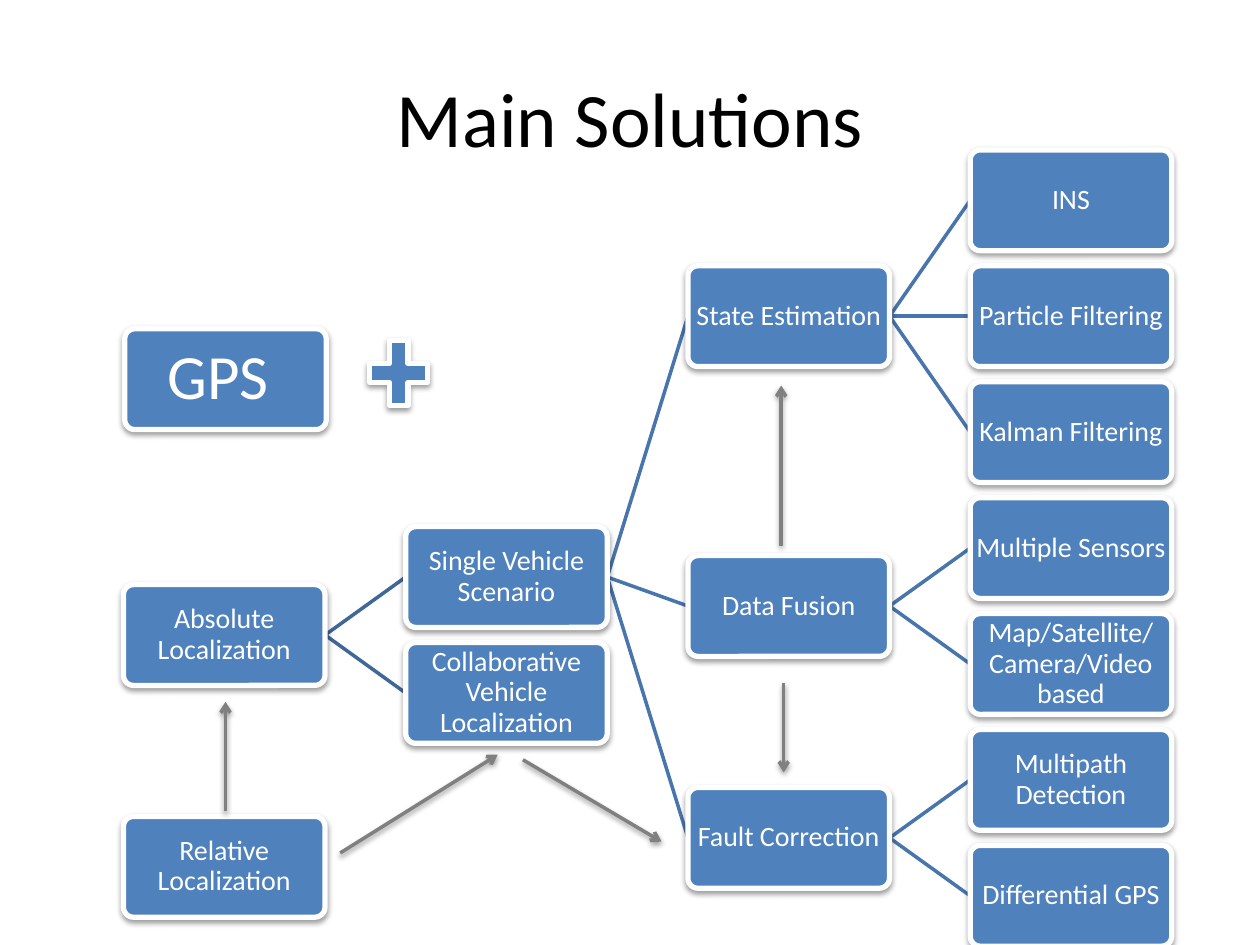
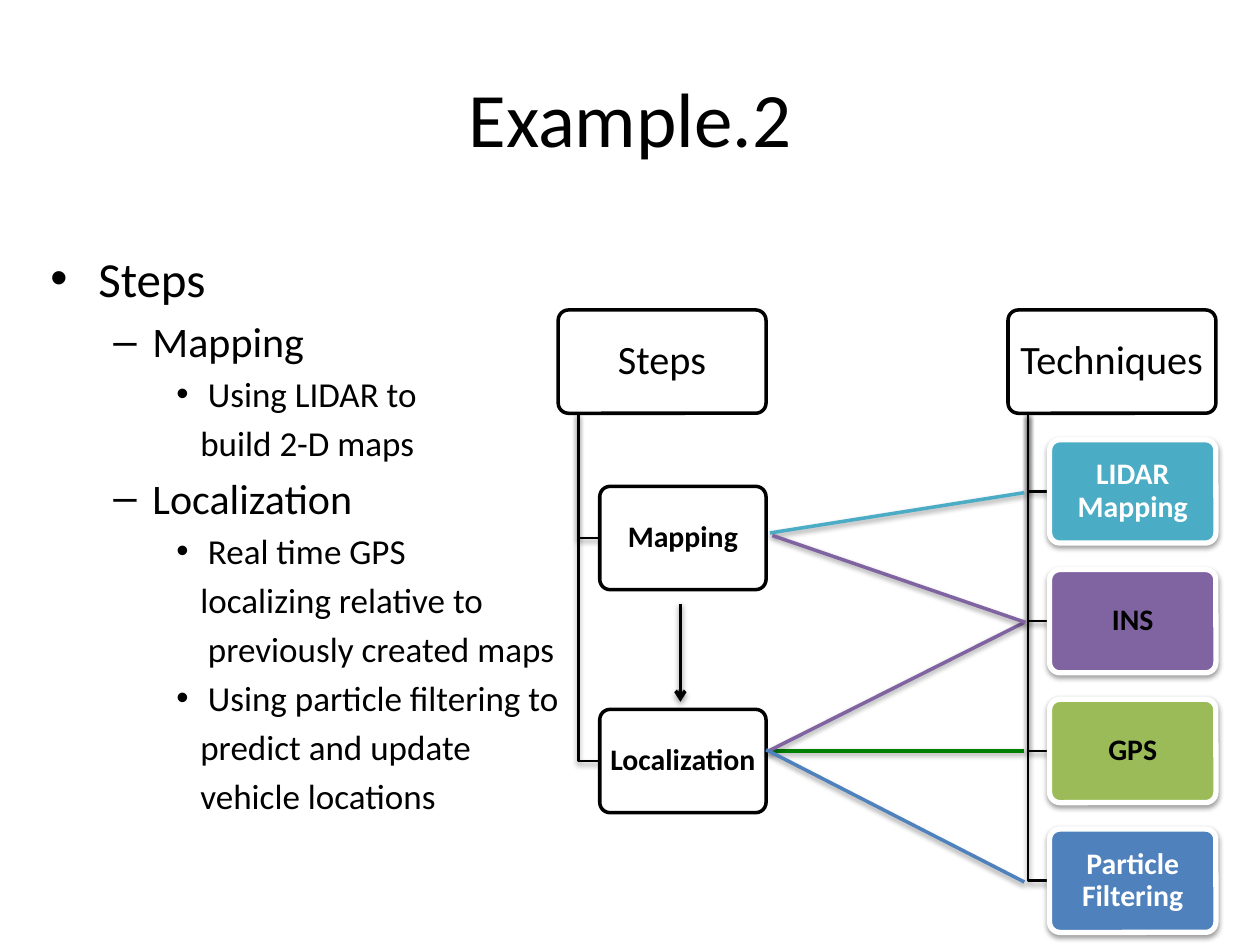
from lxml.etree import SubElement as Sub
from pptx import Presentation
from pptx.dml.color import RGBColor as RGB
from pptx.enum.shapes import MSO_CONNECTOR as Conn, MSO_SHAPE as Kind
from pptx.enum.text import MSO_ANCHOR as Anchor, PP_ALIGN as Align
from pptx.oxml.ns import qn
from pptx.util import Inches, Pt

FONT = "Calibri"
HUES = {
    "black": "000000", "white": "FFFFFF", "gray": "808080",
    "blue": "4F81BD", "link": "4875AC", "stem": "3F6797",
    "teal": "4BACC6", "plum": "8064A2", "lime": "9BBB59", "green": "008000",
}


# Shared helpers

def hue(name):
    return RGB.from_string(HUES[name])


def style(para, size, color, bold=False):
    for run in para.runs:
        font = run.font
        font.name, font.size, font.bold = FONT, Pt(size), bold
        font.color.rgb = hue(color)


def shade(shape, on):
    """Replace the theme shadow with a soft drop shadow, or with none."""
    effect = Sub(shape.element.spPr, qn("a:effectLst"))
    if on:
        drop = Sub(effect, qn("a:outerShdw"), blurRad="40000", dist="20000",
                   dir="5400000", rotWithShape="0")
        tint = Sub(drop, qn("a:srgbClr"), val=HUES["black"])
        Sub(tint, qn("a:alpha"), val="38000")


def stroke(shape, color, width):
    shape.line.color.rgb = hue(color)
    shape.line.width = Pt(width)


def block(slide, kind, box, fill="blue", edge="white", width=3, drop=True):
    shape = slide.shapes.add_shape(kind, *map(Inches, box))
    shape.fill.solid()
    shape.fill.fore_color.rgb = hue(fill)
    stroke(shape, edge, width)
    shade(shape, drop)
    return shape


def card(slide, text, box, size, color="white", bold=False, pad=0.01, **look):
    """Draw a rounded box with centred text."""
    shape = block(slide, Kind.ROUNDED_RECTANGLE, box, **look)
    shape.adjustments[0] = 0.1
    frame = shape.text_frame
    frame.word_wrap = True
    frame.vertical_anchor = Anchor.MIDDLE
    frame.margin_left = frame.margin_right = Inches(pad)
    frame.margin_top = frame.margin_bottom = Inches(pad)
    frame.text = text
    para = frame.paragraphs[0]
    para.alignment = Align.CENTER
    para.line_spacing = 0.9
    style(para, size, color, bold)


def join(slide, start, end, color, drop=True, arrow=False):
    line = slide.shapes.add_connector(Conn.STRAIGHT, *map(Inches, start + end))
    stroke(line, color, 2)
    if arrow:
        Sub(line.element.spPr.find(qn("a:ln")), qn("a:tailEnd"), type="arrow")
    shade(line, drop)


def page(deck, layout, title):
    slide = deck.slides.add_slide(deck.slide_layouts[layout])
    head = slide.shapes.title
    head.left, head.top, head.width, head.height = map(
        Inches, (0.5, 0.3, 9, 1.25))
    head.text_frame.text = title
    head.text_frame.vertical_anchor = Anchor.MIDDLE
    para = head.text_frame.paragraphs[0]
    para.alignment = Align.CENTER
    style(para, 44, "black")
    return slide


# Slide 1: solution tree

WIDE, HIGH = 1.6, 0.8
STEP_X, STEP_Y = 2.24, 0.92
NODES = [  # text, column, row, parent
    ("Absolute Localization", 0, 3.75, None),
    ("Relative Localization", 0, 5.75, None),
    ("Single Vehicle Scenario", 1, 3.25, "Absolute Localization"),
    ("Collaborative Vehicle Localization", 1, 4.25, "Absolute Localization"),
    ("State Estimation", 2, 1, "Single Vehicle Scenario"),
    ("Data Fusion", 2, 3.5, "Single Vehicle Scenario"),
    ("Fault Correction", 2, 5.5, "Single Vehicle Scenario"),
    ("INS", 3, 0, "State Estimation"),
    ("Particle Filtering", 3, 1, "State Estimation"),
    ("Kalman Filtering", 3, 2, "State Estimation"),
    ("Multiple Sensors", 3, 3, "Data Fusion"),
    ("Map/Satellite/Camera/Video based", 3, 4, "Data Fusion"),
    ("Multipath Detection", 3, 5, "Fault Correction"),
    ("Differential GPS", 3, 6, "Fault Correction"),
]
ARROWS = [
    ((1.79, 6.44), (1.79, 5.57)),
    ((2.7, 6.77), (3.95, 5.99)),
    ((6.2, 4.33), (6.2, 3.06)),
    ((6.22, 5.42), (6.22, 6.13)),
    ((4.15, 6.03), (5.25, 6.68)),
]


def tree(slide, left, top):
    spots = {text: (left + col * STEP_X, top + row * STEP_Y)
             for text, col, row, _ in NODES}
    # Links lie behind the boxes
    for text, col, _, parent in NODES:
        if parent:
            (px, py), (x, y) = spots[parent], spots[text]
            join(slide, (px + WIDE, py + HIGH / 2), (x, y + HIGH / 2),
                 "stem" if col == 1 else "link", drop=False)
    for text, spot in spots.items():
        card(slide, text, spot + (WIDE, HIGH), 16)


def main_page(deck):
    slide = page(deck, 5, "Main Solutions")
    tree(slide, 0.98, 1.19)
    card(slide, "GPS ", (0.99, 2.61, WIDE, HIGH), 36)
    block(slide, Kind.MATH_PLUS, (2.85, 2.61, 0.63, 0.7))
    for start, end in ARROWS:
        join(slide, start, end, "gray", arrow=True)


# Slide 2: steps and techniques

POINTS = [  # text, level, bulleted
    ("Steps", 0, True),
    ("Mapping", 1, True),
    ("Using LIDAR to", 2, True),
    ("build 2-D maps", 2, False),
    ("Localization", 1, True),
    ("Real time GPS", 2, True),
    ("localizing relative to", 2, False),
    ("previously created maps", 2, False),
    ("Using particle filtering to", 2, True),
    ("predict and update", 2, False),
    ("vehicle locations", 2, False),
]
LEVELS = [(28, 0.38, 0.38, "•"), (24, 0.81, 0.31, "–"), (20, 1.25, 0.25, "•")]
PLAIN = {"fill": "white", "edge": "black", "width": 2, "drop": False}
STEPS = [("Mapping", "black", PLAIN), ("Localization", "black", PLAIN)]
TECHS = [
    ("LIDAR Mapping", "white", {"fill": "teal"}),
    ("INS", "black", {"fill": "plum"}),
    ("GPS", "black", {"fill": "lime"}),
    ("Particle Filtering", "white", {"fill": "blue"}),
]
LINKS = [
    ((8.13, 3.91), (6.11, 4.23), "teal"),
    ((8.13, 5.96), (6.11, 5.96), "green"),
    ((8.13, 4.94), (6.1, 5.96), "plum"),
    ((8.14, 4.94), (6.13, 4.25), "plum"),
    ((8.13, 7), (6.08, 5.95), "blue"),
]


def outline(slide, box):
    body = slide.placeholders[1]
    body.left, body.top, body.width, body.height = map(Inches, box)
    frame = body.text_frame
    frame.text = "\n".join(text for text, _, _ in POINTS)
    for para, (text, level, dot) in zip(frame.paragraphs, POINTS):
        size, left, hang, mark = LEVELS[level]
        para.level = level
        props = para._p.get_or_add_pPr()
        if dot:
            props.set("marL", str(Inches(left)))
            props.set("indent", str(-Inches(hang)))
            Sub(props, qn("a:buChar"), char=mark)
        else:
            # Wrapped lines; the last line of the GPS point sits deeper
            deep = text.startswith("previously")
            props.set("marL", str(Inches(left if deep else 1.19)))
            props.set("indent", "0")
            Sub(props, qn("a:buNone"))
        style(para, size, "black")


def elbow(slide, x, top, end, low):
    """Draw a bracket line down from a head and across to a child."""
    pen = slide.shapes.build_freeform(Inches(x), Inches(top))
    pen.add_line_segments([(Inches(x), Inches(low)),
                           (Inches(end), Inches(low))], close=False)
    shape = pen.convert_to_shape()
    shape.fill.background()
    stroke(shape, "black", 1.5)
    shade(shape, True)


def branch(slide, box, title, items, first, gap):
    """Draw a head in the box, with children hung below it."""
    left, top, wide, high = box
    card(slide, title, box, 23, "black", pad=0.04, **PLAIN)
    for i, (text, color, look) in enumerate(items):
        x, y = left + 0.33, top + first + i * gap
        elbow(slide, left + 0.16, top + high, x, y + high / 2)
        card(slide, text, (x, y, wide * 0.8, high), 17, color, True, 0.03,
             **look)


def demo_page(deck):
    slide = page(deck, 1, "Example.2")
    outline(slide, (0.3, 1.92, 9, 4.95))
    branch(slide, (4.43, 2.46, 1.65, 0.82), "Steps", STEPS, 1.4, 1.77)
    branch(slide, (8, 2.46, 1.65, 0.82), "Techniques", TECHS, 1.03, 1.03)
    for start, end, color in LINKS:
        join(slide, start, end, color)
    join(slide, (5.4, 4.79), (5.4, 5.57), "black", arrow=True)


def main():
    deck = Presentation()
    deck.slide_width, deck.slide_height = Inches(10), Inches(7.5)
    main_page(deck)
    demo_page(deck)
    deck.save("out.pptx")


if __name__ == "__main__":
    main()
